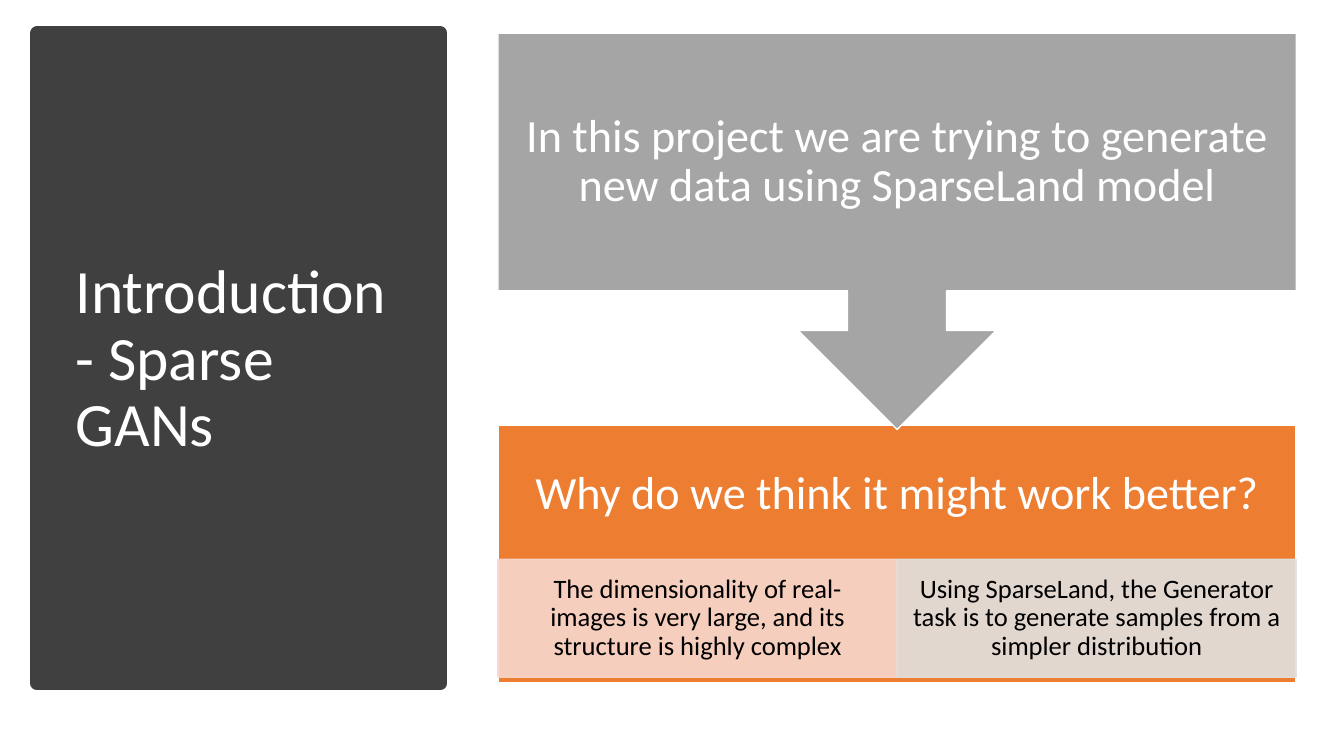
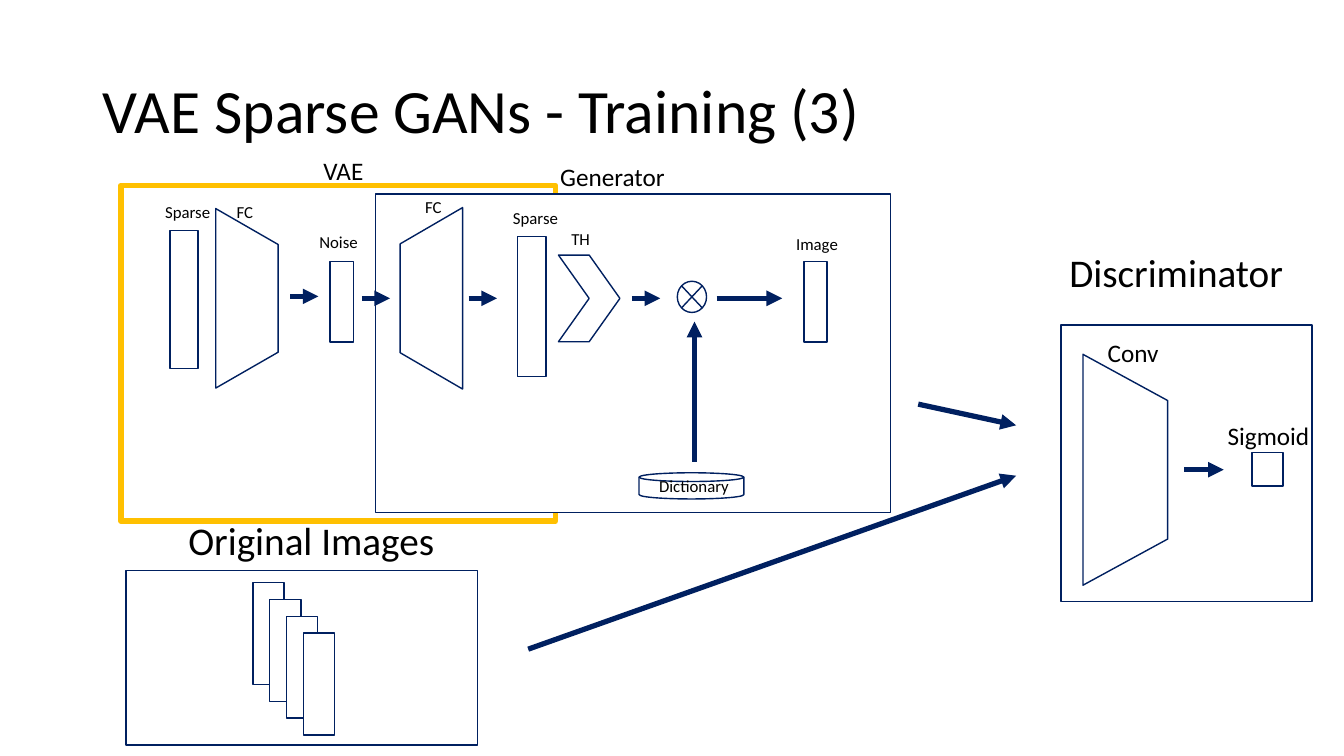
from dataclasses import dataclass

from lxml import etree
from pptx import Presentation
from pptx.dml.color import RGBColor
from pptx.enum import shapes as kinds, text as txt
from pptx.oxml import ns
from pptx.util import Pt

# Shared look
FONT = "Calibri"
WHITE = RGBColor(0xFF, 0xFF, 0xFF)
BLACK = RGBColor(0, 0, 0)
DARK = RGBColor(0x40, 0x40, 0x40)
GREY = RGBColor(0xA5, 0xA5, 0xA5)
ORANGE = RGBColor(0xED, 0x7D, 0x31)
PINK = RGBColor(0xF8, 0xD7, 0xCE)
SILVER = RGBColor(0xE1, 0xE1, 0xE1)
NAVY = RGBColor(0x00, 0x20, 0x60)
GOLD = RGBColor(0xFF, 0xC0, 0x00)

KIND = kinds.MSO_SHAPE
RECT = KIND.RECTANGLE
TRAP = KIND.FLOWCHART_MANUAL_OPERATION
LEFT, CENTER = txt.PP_ALIGN.LEFT, txt.PP_ALIGN.CENTER


@dataclass(frozen=True)
class Box:
    """Outline given by its visible frame; turn is in degrees."""
    x: float
    y: float
    w: float
    h: float
    kind: int = RECT
    turn: int = 0
    fill: RGBColor | None = WHITE
    edge: RGBColor = NAVY
    width: float = 1


@dataclass(frozen=True)
class Arrow:
    x1: float
    y1: float
    x2: float
    y2: float


@dataclass(frozen=True)
class Label:
    x: float
    y: float
    w: float
    text: str
    size: float = 12


def add_node(parent, tag: str, **attrs: str):
    return etree.SubElement(parent, ns.qn(tag), attrs)


def write(frame, words: str, size: float, color: RGBColor,
          align=LEFT, space: float = 1.0) -> None:
    frame.word_wrap = True
    frame.auto_size = txt.MSO_AUTO_SIZE.NONE
    para = frame.paragraphs[0]
    para.alignment, para.line_spacing = align, space
    run = para.add_run()
    run.text = words
    run.font.name, run.font.size = FONT, Pt(size)
    run.font.color.rgb = color


def pad(frame, left: float, top: float, right: float, base: float) -> None:
    frame.margin_left, frame.margin_top = Pt(left), Pt(top)
    frame.margin_right, frame.margin_bottom = Pt(right), Pt(base)


def draw_box(tree, box: Box):
    # A quarter turn swaps the sides around the same centre
    w, h = (box.h, box.w) if box.turn % 180 else (box.w, box.h)
    x, y = box.x + (box.w - w) / 2, box.y + (box.h - h) / 2
    shape = tree.add_shape(box.kind, Pt(x), Pt(y), Pt(w), Pt(h))
    shape.rotation = box.turn
    shape.shadow.inherit = False
    if box.fill is None:
        shape.fill.background()
    else:
        shape.fill.solid()
        shape.fill.fore_color.rgb = box.fill
    shape.line.color.rgb = box.edge
    shape.line.width = Pt(box.width)
    return shape


def draw_arrow(tree, arrow: Arrow) -> None:
    line = tree.add_connector(kinds.MSO_CONNECTOR.STRAIGHT, Pt(arrow.x1),
                              Pt(arrow.y1), Pt(arrow.x2), Pt(arrow.y2))
    line.line.color.rgb = NAVY
    line.line.width = Pt(3.75)
    props = line.element.spPr
    add_node(props.find(ns.qn("a:ln")), "a:tailEnd", type="triangle")
    add_node(props, "a:effectLst")


def draw_label(tree, label: Label) -> None:
    area = tree.add_textbox(Pt(label.x), Pt(label.y), Pt(label.w),
                            Pt(label.size * 1.2 + 7.2))
    pad(area.text_frame, 7.2, 3.6, 0, 3.6)
    write(area.text_frame, label.text, label.size, BLACK)


DRAW = {Box: draw_box, Arrow: draw_arrow, Label: draw_label}


def draw_all(tree, items: list) -> None:
    for item in items:
        DRAW[type(item)](tree, item)


def fade(shape, alpha: int) -> None:
    """Set the opacity, in percent, of fill and line."""
    for color in shape.element.spPr.iter(ns.qn("a:srgbClr")):
        add_node(color, "a:alpha", val=str(alpha * 1000))


def fill_card(shape, words: str, size: float, color: RGBColor,
              sides: tuple[float, float, float, float]) -> None:
    frame = shape.text_frame
    frame.vertical_anchor = txt.MSO_ANCHOR.MIDDLE
    pad(frame, *sides)
    write(frame, words, size, color, CENTER, 0.9)


def new_slide(deck, words: str, color: RGBColor,
              x: float, y: float, w: float, h: float):
    slide = deck.slides.add_slide(deck.slide_layouts[5])
    title = slide.shapes.title
    title.left, title.top = Pt(x), Pt(y)
    title.width, title.height = Pt(w), Pt(h)
    title.text_frame.vertical_anchor = txt.MSO_ANCHOR.MIDDLE
    write(title.text_frame, words, 44, color, LEFT, 0.9)
    return slide


def intro(deck) -> None:
    slide = new_slide(deck, "Introduction- Sparse GANs", WHITE,
                      46.8, 50.4, 249, 414)
    # Dark panel behind the title
    panel = draw_box(slide.shapes, Box(26.6, 23.8, 288, 464.4, fill=DARK,
                                       edge=DARK, width=10))
    slide.shapes.title.element.addprevious(panel.element)

    # Question with its two reasons
    tree = slide.shapes.add_group_shape().shapes
    x, w, gap, half = 355.7, 570.2, 18.7, 285.1
    card = draw_box(tree, Box(x, 303.8, w, 183.6, fill=ORANGE, edge=WHITE))
    fill_card(card, "Why do we think it might work better?", 33, WHITE,
              (gap, gap, gap, 103))
    reasons = [
        (PINK, "The dimensionality of real- images is very large, "
               "and its structure is highly complex"),
        (SILVER, "Using SparseLand, the Generator task is to generate "
                 "samples from a simpler distribution"),
    ]
    for i, (tint, words) in enumerate(reasons):
        card = draw_box(tree, Box(x + i * half, 399.6, half, 84.2,
                                  fill=tint, edge=tint))
        fade(card, 90)
        fill_card(card, words, 19, BLACK, (10.8, 2.2, 10.8, 2.2))

    # Goal, pointing down to the question
    card = draw_box(tree, Box(x, 23.8, w, 283, KIND.DOWN_ARROW_CALLOUT,
                              fill=GREY, edge=WHITE))
    fill_card(card, "In this project we are trying to generate new data "
                    "using SparseLand model", 33, WHITE, (gap,) * 4)


def training(deck) -> None:
    slide = new_slide(deck, "VAE Sparse GANs - Training (3)", BLACK,
                      66.2, 28.8, 828, 104.4)
    mid = 213.1
    vae = [
        Box(86.4, 132.5, 310.3, 239.8, edge=GOLD, width=4),
        Box(154.1, 149, 44.6, 128.2, TRAP, 270),
        Arrow(207.4, 211.7, 227.5, 211.7),
        Box(121.3, 164.5, 20.2, 98.6),
        Label(110.9, 140.4, 47.5, "Sparse"),
        Label(223.9, 107.3, 105, "VAE", 18),
    ]
    maker = [
        Box(268.2, 138.6, 367.9, 227.5),
        Box(285.8, 148.3, 44.6, 129.6, TRAP, 90),
        Box(235.8, 186.8, 16.6, 57.6),
        Arrow(258.5, mid, 278.6, mid),
        Box(369.7, 168.8, 20.2, 100.1),
        Arrow(334.8, mid, 355, mid),
        Box(483.8, 200.9, 20.9, 22.3, KIND.FLOWCHART_SUMMING_JUNCTION),
        Arrow(451.4, mid, 471.6, mid),
        Box(398.9, 182.2, 43.9, 61.9, KIND.CHEVRON),
        Box(456.5, 337.7, 74.9, 18.7, KIND.FLOWCHART_DIRECT_ACCESS_STORAGE,
            270, fill=None),
        Arrow(496.1, 329.8, 496.1, 229.7),
        Arrow(511.9, mid, 558.7, mid),
        Box(574.2, 186.8, 16.6, 57.6),
        Label(393.1, 111.6, 105, "Generator", 18),
        Label(463.7, 336.2, 105, "Dictionary"),
        Label(561.6, 163.4, 47.5, "Image"),
        Label(401, 159.8, 34, "TH"),
        Label(221, 162, 47.5, "Noise"),
        Label(296.6, 136.8, 47.5, "FC"),
        Label(359.3, 144.7, 47.5, "Sparse"),
    ]
    judge = [
        Box(757.8, 232.2, 179.3, 197.3),
        Box(773.6, 253.1, 60.5, 164.9, TRAP, 270),
        Arrow(846, 335.5, 874.1, 335.5),
        Box(894.2, 323.3, 22.3, 23.8),
        Label(756.7, 173.5, 179, "Discriminator", 28),
        Label(869.8, 296.6, 86, "Sigmoid", 18),
        Label(784.1, 237.6, 65, "Conv", 18),
    ]
    step = 12
    photos = [
        Box(90, 407.5, 251.3, 124.6),
        Label(127.4, 365, 223, "Original Images", 28),
        *(Box(180.7 + i * step, 416.2 + i * step, 22.3, 72.7)
          for i in range(4)),
    ]
    # Both sources feed the discriminator
    feeds = [Arrow(655.9, 288.7, 725.8, 303.8),
             Arrow(377.3, 463.7, 725.8, 339.8)]

    for part in (vae, maker, judge):
        draw_all(slide.shapes.add_group_shape().shapes, part)
    draw_all(slide.shapes, feeds)
    draw_all(slide.shapes.add_group_shape().shapes, photos)
    draw_label(slide.shapes, Label(162, 140.4, 47.5, "FC"))


def main() -> None:
    deck = Presentation()
    deck.slide_width, deck.slide_height = Pt(960), Pt(540)
    intro(deck)
    training(deck)
    deck.save("out.pptx")


if __name__ == "__main__":
    main()
